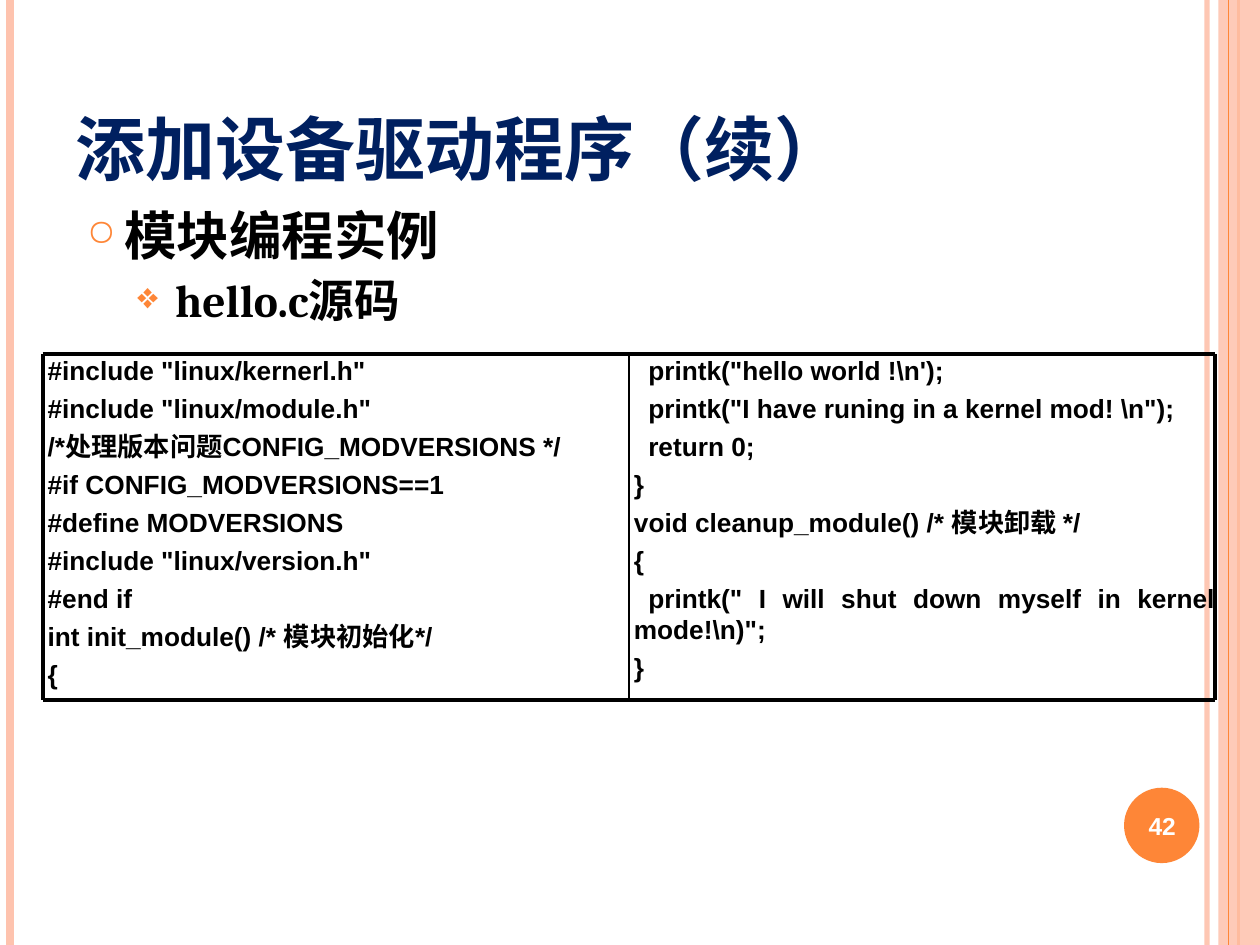
from dataclasses import dataclass

from lxml import etree
from pptx import Presentation
from pptx import util as u
from pptx.dml.color import RGBColor
from pptx.enum import shapes, text
from pptx.oxml.ns import qn

PEACH = RGBColor(0xFE, 0xC3, 0xAE)
ORANGE = RGBColor(0xFE, 0x86, 0x37)
NAVY = RGBColor(0x00, 0x20, 0x60)
BLACK = RGBColor(0, 0, 0)
WHITE = RGBColor(0xFF, 0xFF, 0xFF)
CJK = "Noto Sans CJK SC"
WIDTH, HEIGHT = 25.4, 19.05
LEFT, MIDDLE, RIGHT = 0.86, 12.68, 24.5
TOP, BOTTOM = 7.14, 14.12
CODE_INDENT = 0.29

LEFT_CODE = [
    '#include "linux/kernerl.h"',
    '#include "linux/module.h"',
    "/*处理版本问题CONFIG_MODVERSIONS */",
    "#if CONFIG_MODVERSIONS==1",
    "#define MODVERSIONS",
    '#include "linux/version.h"',
    "#end if",
    "int init_module() /* 模块初始化*/",
    "{",
]
# A leading tab marks an indented statement.
RIGHT_CODE = [
    "\tprintk(\"hello world !\\n');",
    '\tprintk("I have runing in a kernel mod! \\n");',
    "\treturn 0;",
    "}",
    "void cleanup_module() /* 模块卸载 */",
    "{",
    '\tprintk(" I will shut down myself in kernel mode!\\n)";',
    "}",
]


@dataclass
class Rule:
    """A straight line; positions in centimetres, width in points."""
    x1: float
    y1: float
    x2: float
    y2: float
    color: RGBColor
    width: float
    alpha: int = 100


@dataclass
class Bullet:
    char: str
    size: int
    margin: float
    before: float
    runs: list


def set_alpha(fill, percent: int) -> None:
    clr = fill._xPr.find(qn("a:solidFill"))[0]
    etree.SubElement(clr, qn("a:alpha")).set("val", str(percent * 1000))


def add_rule(s, rule: Rule) -> None:
    ends = [u.Cm(v) for v in (rule.x1, rule.y1, rule.x2, rule.y2)]
    c = s.shapes.add_connector(shapes.MSO_CONNECTOR.STRAIGHT, *ends)
    c.line.color.rgb = rule.color
    c.line.width = u.Pt(rule.width)
    if rule.alpha < 100:
        set_alpha(c.line.fill, rule.alpha)
    etree.SubElement(c._element.spPr, qn("a:effectLst"))


def vertical(x: float, color: RGBColor, width: float, alpha: int = 100) -> Rule:
    return Rule(x, 0, x, HEIGHT, color, width, alpha)


def add_solid(s, kind, box: tuple, color: RGBColor):
    sp = s.shapes.add_shape(kind, *map(u.Cm, box))
    sp.shadow.inherit = False
    sp.fill.solid()
    sp.fill.fore_color.rgb = color
    sp.line.fill.background()
    return sp


def add_frame(s, box: tuple, **formats):
    tf = s.shapes.add_textbox(*map(u.Cm, box)).text_frame
    for name, value in {"word_wrap": True, **formats}.items():
        setattr(tf, name, value)
    return tf


def add_run(p, content: str, size: float, font: str, color: RGBColor) -> None:
    r = p.add_run()
    r.text = content
    formats = {"size": u.Pt(size), "name": font, "bold": True}
    for name, value in formats.items():
        setattr(r.font, name, value)
    r.font.color.rgb = color
    latin = r._r.rPr.find(qn("a:latin"))
    ea = etree.Element(qn("a:ea"))
    ea.set("typeface", CJK)
    latin.addnext(ea)


def next_paragraph(tf, index: int, **formats):
    p = tf.add_paragraph() if index else tf.paragraphs[0]
    for name, value in formats.items():
        setattr(p, name, value)
    return p


def add_bullets(s, box: tuple, bullets: list) -> None:
    tf = add_frame(s, box)
    for i, b in enumerate(bullets):
        p = next_paragraph(tf, i, level=i, line_spacing=0.9,
                           space_before=u.Pt(b.before))
        pPr = p._p.get_or_add_pPr()
        pPr.set("marL", str(u.Cm(b.margin)))
        pPr.set("indent", str(u.Cm(-0.76)))
        clr = etree.SubElement(pPr, qn("a:buClr"))
        etree.SubElement(clr, qn("a:srgbClr")).set("val", str(ORANGE))
        etree.SubElement(pPr, qn("a:buSzPct")).set("val", str(b.size * 1000))
        etree.SubElement(pPr, qn("a:buChar")).set("char", b.char)
        for content, size, font in b.runs:
            add_run(p, content, size, font, BLACK)


def add_code(s, x: float, lines: list) -> None:
    tf = add_frame(s, (x, TOP, MIDDLE - LEFT, BOTTOM - TOP),
                   margin_left=u.Cm(0.1), margin_right=0,
                   margin_top=0, margin_bottom=0)
    for i, line in enumerate(lines):
        p = next_paragraph(tf, i, alignment=text.PP_ALIGN.JUSTIFY,
                           space_before=u.Pt(3.7))
        if line.startswith("\t"):
            p._p.get_or_add_pPr().set("indent", str(u.Cm(CODE_INDENT)))
        add_run(p, line.strip(), 15, "Arial", BLACK)


def main() -> None:
    prs = Presentation()
    prs.slide_width, prs.slide_height = u.Cm(WIDTH), u.Cm(HEIGHT)
    s = prs.slides.add_slide(prs.slide_layouts[6])

    for rule in (vertical(24.33, PEACH, 3, 93), vertical(0.2, PEACH, 4.5),
                 vertical(24.97, ORANGE, 1.5)):
        add_rule(s, rule)
    band = add_solid(s, shapes.MSO_SHAPE.RECTANGLE,
                     (24.56, 0, 0.84, HEIGHT), PEACH)
    set_alpha(band.fill, 87)
    add_rule(s, vertical(24.77, ORANGE, 0.75))
    add_solid(s, shapes.MSO_SHAPE.OVAL, (22.66, 15.88, 1.52, 1.52), ORANGE)

    title = add_frame(s, (1.27, 0.76, 20.75, 3.18),
                      vertical_anchor=text.MSO_ANCHOR.BOTTOM)
    add_run(title.paragraphs[0], "添加设备驱动程序（续）", 40, "Cambria", NAVY)

    add_bullets(s, (1.5, 4.11, 23.06, 12.6), [
        Bullet("○", 70, 0.76, 6, [("模块编程实例", 30, CJK)]),
        Bullet("❖", 80, 1.78, 6.5,
               [("hello.c", 26, "Cambria"), ("源码", 26, CJK)]),
    ])

    number = add_frame(s, (22.58, 15.93, 1.7, 1.45),
                       vertical_anchor=text.MSO_ANCHOR.MIDDLE)
    p = next_paragraph(number, 0, alignment=text.PP_ALIGN.CENTER)
    add_run(p, "42", 14, "Arial", WHITE)

    add_code(s, MIDDLE, RIGHT_CODE)
    add_code(s, LEFT, LEFT_CODE)
    for y in (TOP, BOTTOM):
        add_rule(s, Rule(LEFT, y, RIGHT, y, BLACK, 2.25))
    for x, width in ((LEFT, 2.25), (MIDDLE, 1), (RIGHT, 2.25)):
        add_rule(s, Rule(x, TOP, x, BOTTOM, BLACK, width))

    prs.save("out.pptx")


if __name__ == "__main__":
    main()
